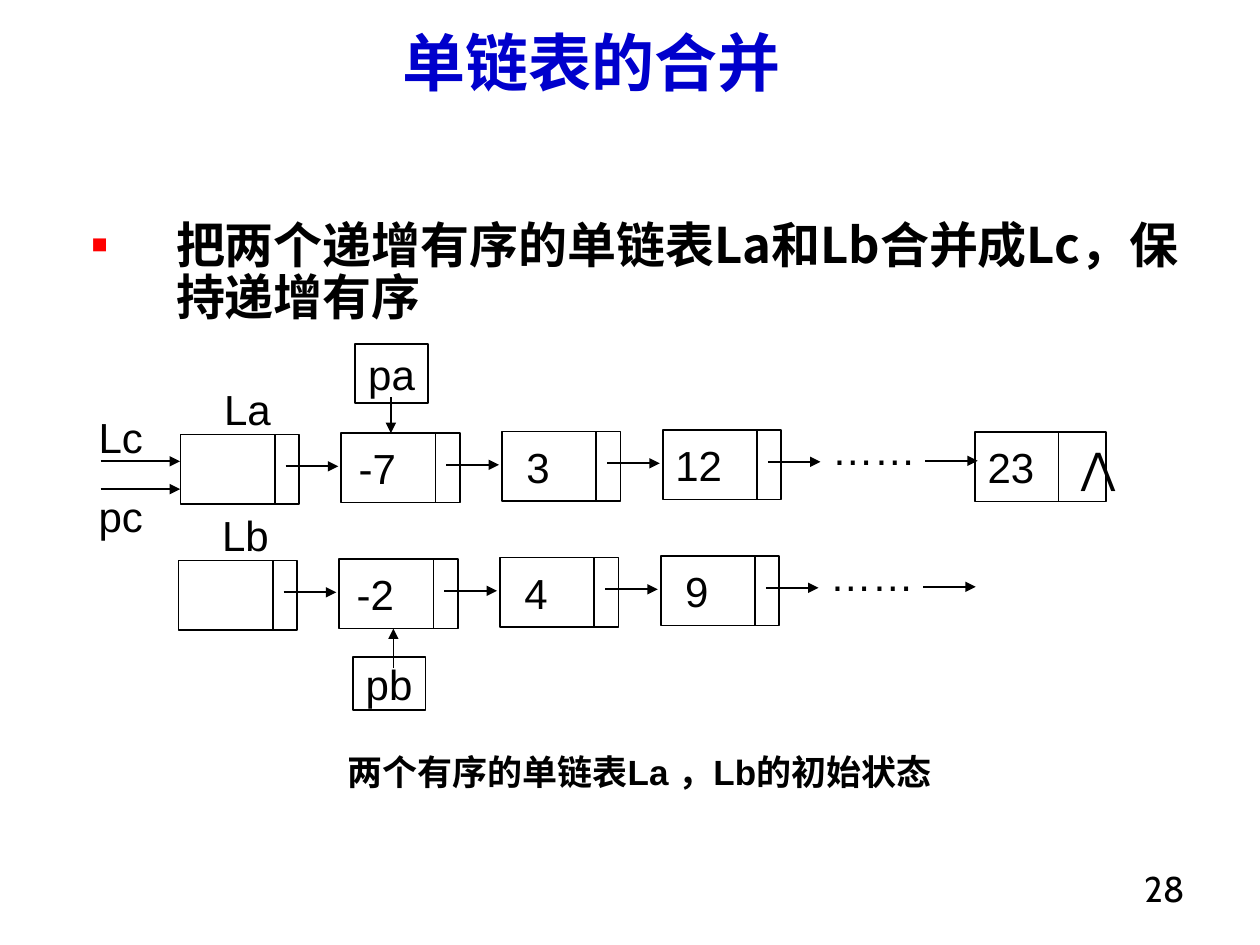
from lxml import etree
from pptx import Presentation
from pptx.dml.color import RGBColor
from pptx.enum.shapes import MSO_CONNECTOR, MSO_SHAPE
from pptx.enum.text import MSO_ANCHOR, PP_ALIGN
from pptx.oxml.ns import qn
from pptx.util import Cm, Pt

LEFT, CENTER, RIGHT = PP_ALIGN.LEFT, PP_ALIGN.CENTER, PP_ALIGN.RIGHT
TOP, MIDDLE, BOTTOM = MSO_ANCHOR.TOP, MSO_ANCHOR.MIDDLE, MSO_ANCHOR.BOTTOM
STRAIGHT = MSO_CONNECTOR.STRAIGHT
RECTANGLE = MSO_SHAPE.RECTANGLE

LATIN, CHINESE, TITLE_FONT = "Arial", "Noto Sans CJK SC", "Cabin"
BLACK, BLUE, RED = "000000", "0000CC", "FF0000"

# List geometry in centimetres
NODE_WIDTH, NODE_HEIGHT = 2.39, 1.4
NODE_PITCH = 3.24
NODE_RISE = 0.03
LINK_DIVIDER = 1.9
ARROW_START, ARROW_LENGTH = 2.12, 1.06
ARROW_DROP = 0.64
INSET = 0.25
VALUE_INSET = 1.19


def color(hex_string):
    return RGBColor.from_string(hex_string)


def add_run(paragraph, text, size, font=LATIN, bold=False, fill=BLACK):
    run = paragraph.add_run()
    run.text = text
    run.font.size = Pt(size)
    run.font.name = font
    run.font.bold = bold
    run.font.color.rgb = color(fill)
    east_asian = etree.SubElement(run._r.get_or_add_rPr(), qn("a:ea"))
    east_asian.set("typeface", CHINESE)


def format_frame(shape, align=CENTER, anchor=MIDDLE, wrap=False, right_inset=INSET):
    """Set the frame's layout and return its first paragraph."""
    frame = shape.text_frame
    frame.word_wrap = wrap
    frame.vertical_anchor = anchor
    frame.margin_left, frame.margin_right = Cm(INSET), Cm(right_inset)
    frame.margin_top = frame.margin_bottom = Cm(0.13)
    paragraph = frame.paragraphs[0]
    paragraph.alignment = align
    return paragraph


def add_text_box(slide, left, top, width, height, **layout):
    shape = slide.shapes.add_textbox(Cm(left), Cm(top), Cm(width), Cm(height))
    return format_frame(shape, **layout)


def add_label(slide, text, left, top, width, height):
    add_run(add_text_box(slide, left, top, width, height), text, 24)


def add_box(slide, left, top, width, height, **layout):
    shape = slide.shapes.add_shape(RECTANGLE, Cm(left), Cm(top), Cm(width), Cm(height))
    shape.shadow.inherit = False
    shape.fill.background()
    shape.line.color.rgb = color(BLACK)
    shape.line.width = Pt(1)
    return format_frame(shape, **layout)


def add_line(slide, start_x, start_y, end_x, end_y, arrow=False):
    connector = slide.shapes.add_connector(
        STRAIGHT, Cm(start_x), Cm(start_y), Cm(end_x), Cm(end_y))
    connector.line.color.rgb = color(BLACK)
    connector.line.width = Pt(1)
    if arrow:
        tail = etree.SubElement(connector.line._get_or_add_ln(), qn("a:tailEnd"))
        tail.set("type", "triangle")
    etree.SubElement(connector._element.spPr, qn("a:effectLst"))


def add_arrow(slide, start_x, start_y, end_x, end_y):
    add_line(slide, start_x, start_y, end_x, end_y, arrow=True)


def add_node(slide, value, left, top):
    """Draw a list node with its value, link field and outgoing arrow."""
    paragraph = add_box(slide, left, top, NODE_WIDTH, NODE_HEIGHT,
                        right_inset=VALUE_INSET)
    if value:
        add_run(paragraph, value, 24)
    divider = left + LINK_DIVIDER
    add_line(slide, divider, top, divider, top + NODE_HEIGHT)
    arrow_left, arrow_top = left + ARROW_START, top + ARROW_DROP
    add_arrow(slide, arrow_left, arrow_top, arrow_left + ARROW_LENGTH, arrow_top)


def add_last_node(slide, value, left, top):
    """Draw the closing node, whose link field holds the null sign."""
    paragraph = add_box(slide, left, top, 2.64, NODE_HEIGHT, align=LEFT)
    tab_list = etree.SubElement(paragraph._p.get_or_add_pPr(), qn("a:tabLst"))
    etree.SubElement(tab_list, qn("a:tab"), pos=str(Cm(1.88)), algn="l")
    add_run(paragraph, f"{value}\t⋀", 24)
    add_line(slide, left + 1.68, top, left + 1.68, top + NODE_HEIGHT)


def add_linked_list(slide, name, values, left, top):
    """Draw a head node, the value nodes and the dots that continue the list."""
    add_label(slide, name, left + 0.18, top - 1.15, 2.34, 1.27)
    for index, value in enumerate([""] + values):
        add_node(slide, value, left + index * NODE_PITCH, top - index * NODE_RISE)
    add_label(slide, "……", left + 12.78, top - 0.41, NODE_WIDTH, NODE_HEIGHT)
    arrow_left, arrow_top = left + 15.01, top + 0.53
    add_arrow(slide, arrow_left, arrow_top, arrow_left + ARROW_LENGTH, arrow_top)


def add_pointer_box(slide, name, left, top, height, arrow):
    add_run(add_box(slide, left, top, 1.47, height), name, 24)
    arrow_left, arrow_start, arrow_end = arrow
    add_arrow(slide, left + arrow_left, top + arrow_start,
              left + arrow_left, top + arrow_end)


def add_head_pointers(slide, left, top):
    for name, label_top, arrow_top in (("Lc", 0, 1.04), ("pc", 1.6, 1.6)):
        add_label(slide, name, left, top + label_top, 1.47, 1.07)
        add_arrow(slide, left + 0.33, top + arrow_top, left + 1.93, top + arrow_top)


def add_title(slide, left, top, width, height):
    title = slide.shapes.title
    title.left, title.top = Cm(left), Cm(top)
    title.width, title.height = Cm(width), Cm(height)
    paragraph = format_frame(title, anchor=BOTTOM, wrap=True)
    add_run(paragraph, "单链表的合并", 36, TITLE_FONT, True, BLUE)


def add_task(slide, left, top, width, height):
    paragraph = add_text_box(slide, left, top, width, height,
                             align=LEFT, anchor=TOP, wrap=True)
    paragraph.line_spacing = 0.9
    paragraph.space_before = Pt(7)
    properties = paragraph._p.get_or_add_pPr()
    properties.set("marL", str(Cm(2.61)))
    properties.set("indent", str(-Cm(1.7)))
    bullet_color = etree.SubElement(properties, qn("a:buClr"))
    etree.SubElement(bullet_color, qn("a:srgbClr"), val=RED)
    etree.SubElement(properties, qn("a:buSzPct"), val="33000")
    etree.SubElement(properties, qn("a:buFont"), typeface=CHINESE)
    etree.SubElement(properties, qn("a:buChar"), char="■")
    add_run(paragraph, "把两个递增有序的单链表La和Lb合并成Lc，保持递增有序",
            28, CHINESE, True)


def add_caption(slide, left, top, width, height):
    paragraph = add_text_box(slide, left, top, width, height, wrap=True)
    for text, font in (("两个有序的单链表", CHINESE), ("La ", LATIN), ("，", CHINESE),
                       ("Lb", LATIN), ("的初始状态", CHINESE)):
        add_run(paragraph, text, 20, font, True)


def add_page_number(slide, left, top, width, height):
    paragraph = add_text_box(slide, left, top, width, height,
                             align=RIGHT, anchor=TOP, wrap=True)
    add_run(paragraph, "28", 20.4, TITLE_FONT)


def main():
    presentation = Presentation()
    presentation.slide_width, presentation.slide_height = Cm(25.4), Cm(19.05)
    slide = presentation.slides.add_slide(presentation.slide_layouts[5])
    add_title(slide, 0.5, 0.33, 22.86, 1.8)
    add_task(slide, 0.69, 4.32, 23.6, 12.8)
    add_linked_list(slide, "La", ["-7", "3", "12"], 3.64, 8.76)
    add_last_node(slide, "23", 19.66, 8.71)
    add_linked_list(slide, "Lb", ["-2", "4", "9"], 3.6, 11.3)
    add_head_pointers(slide, 1.7, 8.26)
    add_pointer_box(slide, "pa", 7.16, 6.93, 1.2, arrow=(0.72, 1.08, 1.8))
    add_pointer_box(slide, "pb", 7.11, 13.25, 1.07, arrow=(0.82, 0.22, -0.58))
    add_caption(slide, 5.08, 14.94, 15.62, 1.24)
    add_page_number(slide, 18.21, 17.35, 5.92, 1.27)
    presentation.save("out.pptx")


if __name__ == "__main__":
    main()
